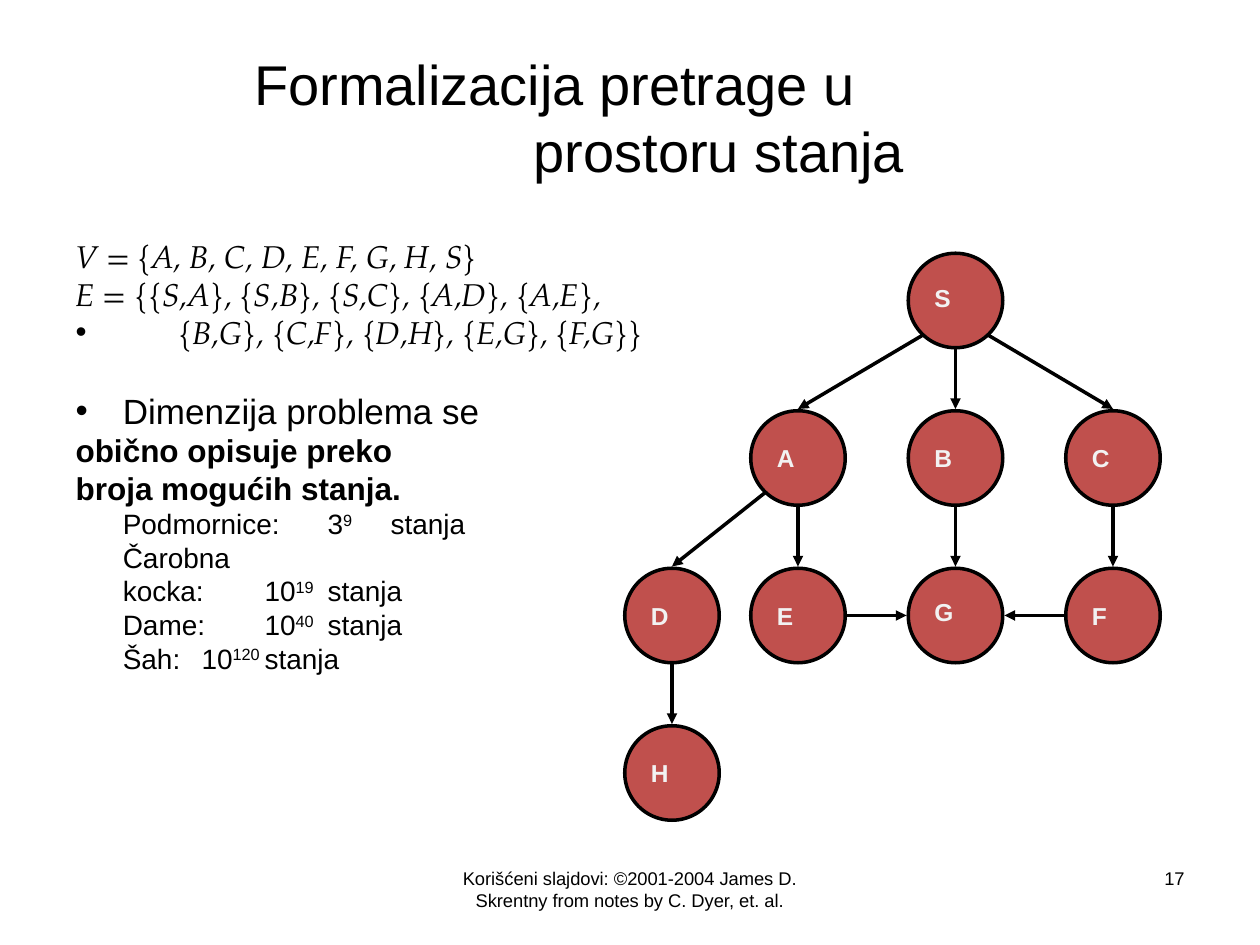
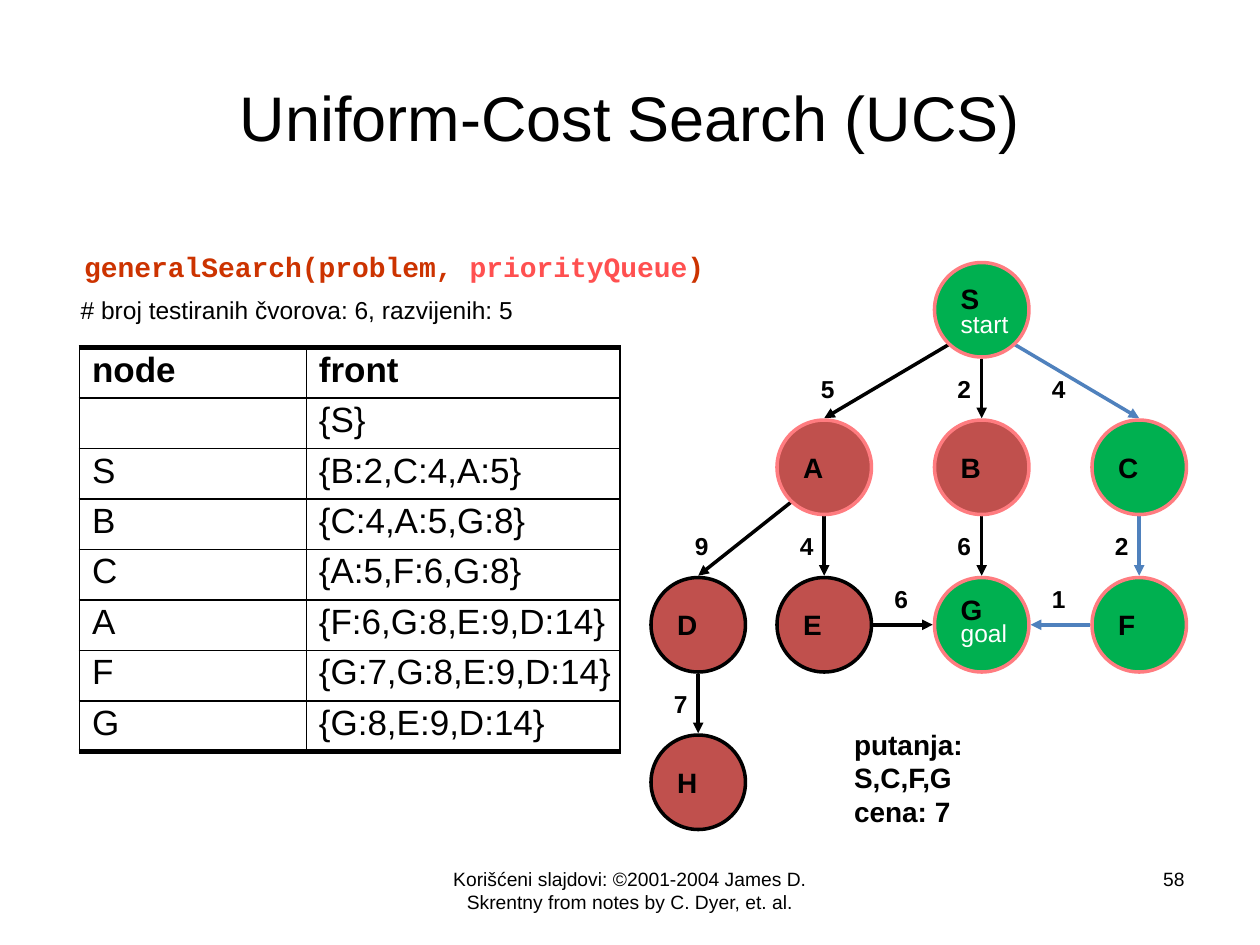
"""Builds two slides on state-space search, each with a graph of states."""
from lxml import etree
from pptx import Presentation
from pptx.dml.color import RGBColor
from pptx.enum.shapes import MSO_CONNECTOR, MSO_SHAPE
from pptx.enum.text import MSO_ANCHOR, MSO_AUTO_SIZE, PP_ALIGN
from pptx.oxml.ns import qn
from pptx.util import Pt

LEFT, MID, RIGHT = PP_ALIGN.LEFT, PP_ALIGN.CENTER, PP_ALIGN.RIGHT
OVAL, LINE = MSO_SHAPE.OVAL, MSO_CONNECTOR.STRAIGHT
CENTRE, FIXED = MSO_ANCHOR.MIDDLE, MSO_AUTO_SIZE.NONE

SANS, SERIF, MONO = "Arial", "TeX Gyre Pagella", "Courier New"
BLACK, WHITE, PALE = "000000", "FFFFFF", "F2F2F2"
RED, GREEN, PINK, BLUE = "C0504D", "00B050", "FF7C80", "4F81BD"
RUST, CORAL = "CC3300", "FF5050"

CREDIT = "Korišćeni slajdovi: ©2001-2004 James D. Skrentny from notes by C. Dyer, et. al."
STEP, R, NEAR = 90, 27, 28
NODES = {
    "S": (0, 0), "A": (-STEP, STEP), "B": (0, STEP), "C": (STEP, STEP),
    "D": (-162, 2 * STEP), "E": (-STEP, 2 * STEP), "G": (0, 2 * STEP),
    "F": (STEP, 2 * STEP), "H": (-162, 3 * STEP),
}
EDGES = ("SA", "SB", "SC", "AD", "AE", "BG", "CF", "DH", "EG", "FG")


def rgb(hue):
    """Return a colour from its hex string."""
    return RGBColor.from_string(hue)


def sub(root, tag, **attrs):
    """Append a drawing element with attributes to a parent."""
    item = etree.SubElement(root, qn(tag))
    for key, val in attrs.items():
        item.set(key, str(val))
    return item


class Deck:
    """Holds the style and the current slide."""

    def __init__(self):
        """Open an empty deck of 10 by 7.5 inches."""
        self.file = Presentation()
        self.file.slide_width, self.file.slide_height = Pt(720), Pt(540)
        self.page = None

    def slide(self, kind, num, size):
        """Start a slide with its credit and number."""
        self.page = self.file.slides.add_slide(self.file.slide_layouts[kind])
        self.text((246, 492, 228, 37.5), CREDIT, size, align=MID)
        self.text((516, 492, 168, 37.5), num, size, align=RIGHT)

    def style(self, para, size, hue=BLACK, face=SANS, bold=False, slant=False,
              gap=None, align=None):
        """Format a paragraph and all its runs."""
        if align is not None:
            para.alignment = align
        if gap:
            para.line_spacing = gap
        for run in para.runs:
            font = run.font
            font.size, font.name = Pt(size), face
            font.bold, font.italic = bold, slant
            font.color.rgb = rgb(hue)

    def place(self, shape, box):
        """Move a placeholder and stop it from shrinking its text."""
        shape.left, shape.top, shape.width, shape.height = map(Pt, box)
        shape.text_frame.auto_size = FIXED
        return shape.text_frame

    def title(self, box, text, size, first=MID):
        """Fill the title placeholder."""
        frame = self.place(self.page.shapes.title, box)
        frame.text = text
        frame.vertical_anchor = CENTRE
        for i, para in enumerate(frame.paragraphs):
            self.style(para, size, align=MID if i else first)

    def text(self, box, text, size, wrap=True, **look):
        """Add a text box and return its frame."""
        frame = self.page.shapes.add_textbox(*map(Pt, box)).text_frame
        frame.word_wrap = wrap
        frame.text = text
        for para in frame.paragraphs:
            self.style(para, size, **look)
        return frame

    def body(self, box, rows):
        """Fill the body placeholder from rows of text and layout."""
        frame = self.place(self.page.placeholders[1], box)
        frame.text = "\n".join(row[0] for row in rows)
        for para, (_, size, look, lay) in zip(frame.paragraphs, rows):
            para.space_before = Pt(lay.get("above", 0))
            prop = para._p.get_or_add_pPr()
            prop.set("marL", str(Pt(lay.get("left", 0))))
            prop.set("indent", str(Pt(lay.get("first", 0))))
            if "left" not in lay:
                sub(prop, "a:buNone")
            if "tabs" in lay:
                tabs = sub(prop, "a:tabLst")
                for pos in lay["tabs"]:
                    sub(tabs, "a:tab", pos=Pt(pos), algn="l")
                high = para.add_run()
                high.text = lay["power"]
                para.add_run().text = "\tstanja"
            self.style(para, size, **look)
            if "tabs" in lay:
                high._r.get_or_add_rPr().set("baseline", "30000")

    def node(self, x, y, lines, size, hue, fill, edge, gaps):
        """Draw a round state with a name and perhaps a role."""
        dot = self.page.shapes.add_shape(
            OVAL, Pt(x - R), Pt(y - R), Pt(2 * R), Pt(2 * R))
        dot.shadow.inherit = False
        dot.fill.solid()
        dot.fill.fore_color.rgb = rgb(fill)
        dot.line.color.rgb = rgb(edge)
        dot.line.width = Pt(2)
        frame = dot.text_frame
        frame.word_wrap = False
        frame.vertical_anchor = CENTRE
        frame.text = lines
        name, *role = frame.paragraphs
        self.style(name, size, hue, bold=True, gap=gaps, align=LEFT)
        for para in role:
            self.style(para, 14, WHITE, gap=0.75, align=LEFT)

    def arrow(self, x, y, to_x, to_y, hue):
        """Join two states, given their centres."""
        side = (to_x > x) - (to_x < x)
        if y == to_y:
            ends = (x + side * NEAR, y, to_x - side * NEAR, y)
        elif side:
            ends = (x + side * 19, y + 20, to_x, to_y - NEAR)
        else:
            ends = (x, y + NEAR, x, to_y - NEAR)
        link = self.page.shapes.add_connector(LINE, *map(Pt, ends))
        link.line.color.rgb = rgb(hue)
        link.line.width = Pt(2)
        sub(link.line._get_or_add_ln(), "a:tailEnd", type="triangle")
        sub(link._element.spPr, "a:effectLst")

    def graph(self, x, y, size, hue, gaps, path="", seen="", roles=None):
        """Draw all states and links around the start state."""
        spots = {key: (x + dx, y + dy) for key, (dx, dy) in NODES.items()}
        for a, b in EDGES:
            self.arrow(*spots[a], *spots[b],
                       BLUE if a in path and b in path and a + b in ("SC", "CF", "FG") else BLACK)
        for key, spot in spots.items():
            lines = key + (roles or {}).get(key, "")
            self.node(*spot, lines, size, hue, GREEN if key in path else RED,
                      PINK if key in seen else BLACK, gaps.get(key))

    def table(self, box, cols, rows):
        """Add a ruled table with thick top and bottom lines."""
        grid = self.page.shapes.add_table(len(rows), len(cols), *map(Pt, box)).table
        grid.first_row = grid.horz_banding = False
        for col, wide in zip(grid.columns, cols):
            col.width = Pt(wide)
        last = len(rows) - 1
        for i, row in enumerate(rows):
            grid.rows[i].height = Pt(box[3] / len(rows))
            for j, text in enumerate(row):
                cell = grid.cell(i, j)
                cell.text = text
                cell.margin_right = Pt(1.5)
                self.style(cell.text_frame.paragraphs[0], 20, bold=i == 0, gap=0.9)
                self.rule(cell, 3 if i == 0 else 1, 3 if i == last else 1)
                cell.fill.background()

    def rule(self, cell, top, low):
        """Draw the four borders of a cell."""
        prop = cell._tc.get_or_add_tcPr()
        for tag, wide in (("L", 1), ("R", 1), ("T", top), ("B", low)):
            line = sub(prop, "a:ln" + tag, w=Pt(wide))
            sub(sub(line, "a:solidFill"), "a:srgbClr", val=BLACK)


deck = Deck()

deck.slide(1, "17", 10.5)
deck.title((138, 21.6, 546, 90), "Formalizacija pretrage u\nprostoru stanja", 32, LEFT)
math = {"face": SERIF, "slant": True}
bold = {"bold": True}
deck.body((36, 132, 486, 363), (
    ("V = {A, B, C, D, E, F, G, H, S}", 18, math, {}),
    ("E = {{S,A}, {S,B}, {S,C}, {A,D}, {A,E},", 18, math, {}),
    ("{B,G}, {C,F}, {D,H}, {E,G}, {F,G}}", 18, math, {"left": 59, "first": -59}),
    ("Dimenzija problema se", 20, {}, {"left": 27, "first": -27, "above": 22}),
    ("obično opisuje preko", 18, bold, {}),
    ("broja mogućih stanja.", 18, bold, {}),
    ("Podmornice:\t3", 16, {}, {"first": 27, "tabs": (130, 166), "power": "9"}),
    ("Čarobna", 16, {}, {"first": 27}),
    ("kocka:\t10", 16, {}, {"first": 27, "tabs": (117, 158), "power": "19"}),
    ("Dame:\t10", 16, {}, {"first": 27, "tabs": (122.5, 164), "power": "40"}),
    ("Šah:\t10", 16, {}, {"first": 27, "tabs": (117, 158.5), "power": "120"}),
))
deck.graph(546, 171.7, 14, PALE, {"S": 0.75, "G": 0.65})

deck.slide(5, "58", 11)
deck.title((36, 21.6, 648, 90), "Uniform-Cost Search (UCS)", 36)
call = deck.text((41, 139, 369.4, 26), "generalSearch(problem, ", 16, wrap=False)
para = call.paragraphs[0]
for part in ("priorityQueue", ")"):
    para.add_run().text = part
deck.style(para, 16, RUST, MONO, True)
para.runs[1].font.color.rgb = rgb(CORAL)
deck.text((39, 165, 262.8, 24), "# broj testiranih čvorova: 6, razvijenih: 5", 14, wrap=False)
deck.table((45.4, 198.7, 308.9, 196), (129.6, 179.3), (
    ("node", "front"),
    ("", "{S}"),
    ("S", "{B:2,C:4,A:5}"),
    ("B", "{C:4,A:5,G:8}"),
    ("C", "{A:5,F:6,G:8}"),
    ("A", "{F:6,G:8,E:9,D:14}"),
    ("F", "{G:7,G:8,E:9,D:14}"),
    ("G", "{G:8,E:9,D:14}"),
))
COSTS = {
    210: ((462, "5"), (540, "2"), (594, "4")),
    300: ((390, "9"), (450, "4"), (540, "6"), (630, "2")),
    330: ((504, "6"), (594, "1")),
    390: ((378, "7"),),
}
for top, row in COSTS.items():
    for left, cost in row:
        deck.text((left, top, 22.3, 24), cost, 14, wrap=False, bold=True)
deck.graph(561, 177, 16, BLACK, {"G": 0.65}, "SCFG", "SABCFG",
           {"S": "\nstart", "G": "\ngoal"})
deck.text((481, 412, 136, 45), "putanja: S,C,F,G\ncena: 7", 16, wrap=False, bold=True)

deck.file.save("out.pptx")
